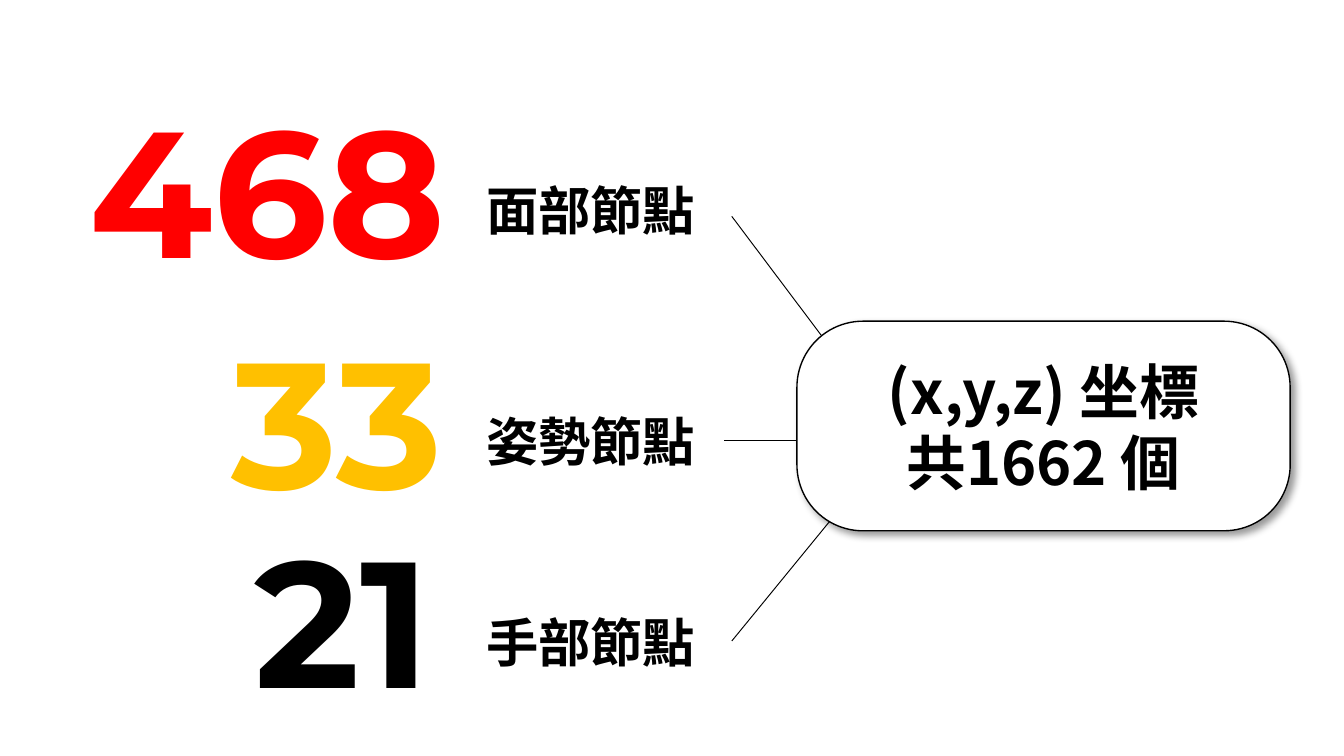
"""Build a slide that sums face, pose and hand landmarks into a coordinate count."""
from lxml.etree import SubElement
from pptx import Presentation
from pptx.dml.color import RGBColor
from pptx.enum.shapes import MSO_CONNECTOR, MSO_SHAPE
from pptx.enum.text import MSO_ANCHOR, MSO_AUTO_SIZE, PP_ALIGN
from pptx.oxml.ns import qn
from pptx.util import Emu, Pt

PX = 4572
RED = RGBColor(0xFF, 0x00, 0x00)
AMBER = RGBColor(0xFF, 0xC0, 0x00)
BLACK = RGBColor(0x00, 0x00, 0x00)
WHITE = RGBColor(0xFF, 0xFF, 0xFF)
NUMBER_FONT = "Montserrat"
LABEL_FONT = "Noto Sans CJK JP"


def px(*lengths):
    return [Emu(length * PX) for length in lengths]


def write(shape, text, *, size, font, color=BLACK, align=PP_ALIGN.LEFT):
    frame = shape.text_frame
    for index, line in enumerate(text.split("\n")):
        paragraph = frame.add_paragraph() if index else frame.paragraphs[0]
        paragraph.alignment = align
        run = paragraph.add_run()
        run.text = line
        run.font.size = Pt(size)
        run.font.bold = True
        run.font.name = font
        run.font.color.rgb = color
        SubElement(run.font._element, qn("a:ea"), typeface=font)


presentation = Presentation()
presentation.slide_width, presentation.slide_height = px(2000, 1125)
slide = presentation.slides.add_slide(presentation.slide_layouts[6])

numbers = [
    ("468", 114, 108, 640, RED),
    ("33", 325, 452, 398, AMBER),
    ("21", 359, 748, 330, BLACK),
]
for text, left, top, width, color in numbers:
    number = slide.shapes.add_textbox(*px(left, top, width, 344))
    number.text_frame.word_wrap = False
    number.text_frame.auto_size = MSO_AUTO_SIZE.SHAPE_TO_FIT_TEXT
    write(number, text, size=96, font=NUMBER_FONT, color=color)

connectors = [(1089, 322, 1262, 552), (1078, 656, 1246, 656), (1282, 718, 1089, 954)]
for ends in connectors:
    connector = slide.shapes.add_connector(MSO_CONNECTOR.STRAIGHT, *px(*ends))
    connector.line.color.rgb = BLACK
    connector.line.width = Pt(0.5)
    SubElement(connector._element.spPr, qn("a:effectLst"))

boxes = [
    ("面部節點", 512, 249, 126, 28),
    ("姿勢節點", 512, 593, 126, 28),
    ("手部節點", 512, 892, 126, 28),
    ("(x,y,z) 坐標\n共1662 個", 1186, 478, 312, 32),
]
for text, left, top, height, size in boxes:
    box = slide.shapes.add_shape(MSO_SHAPE.ROUNDED_RECTANGLE, *px(left, top, 734, height))
    box.adjustments[0] = 0.315
    box.fill.background()
    box.line.fill.background()
    box.shadow.inherit = False
    frame = box.text_frame
    frame.word_wrap = True
    frame.vertical_anchor = MSO_ANCHOR.MIDDLE
    frame.margin_left, frame.margin_top, frame.margin_right, frame.margin_bottom = px(*[20] * 4)
    write(box, text, size=size, font=LABEL_FONT, align=PP_ALIGN.CENTER)

total = box
total.fill.solid()
total.fill.fore_color.rgb = WHITE
total.line.color.rgb = BLACK
total.line.width = Pt(0.75)
effects = total._element.spPr.find(qn("a:effectLst"))
shadow = SubElement(effects, qn("a:outerShdw"), blurRad=str(Pt(4)), dist=str(Pt(3)),
                    dir=str(45 * 60000), algn="tl", rotWithShape="0")
shadow_color = SubElement(shadow, qn("a:srgbClr"), val=str(BLACK))
SubElement(shadow_color, qn("a:alpha"), val="40000")

presentation.save("out.pptx")
